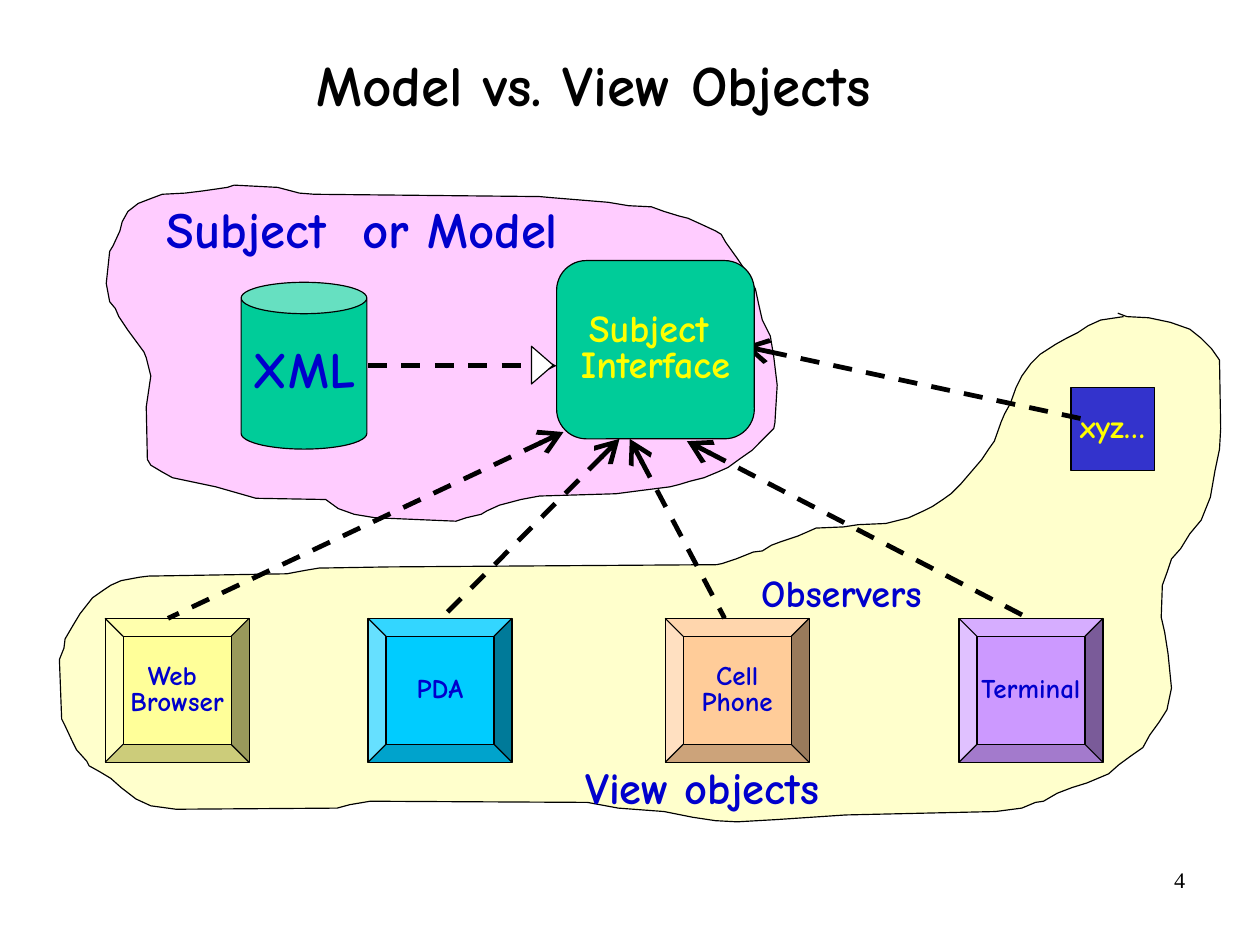
import pptx
import pptx.util
import pptx.dml.color
import pptx.enum.dml
import pptx.enum.shapes
import pptx.enum.text
import pptx.oxml.ns
from lxml import etree

Inches = pptx.util.Inches
RGB = pptx.dml.color.RGBColor
SHAPE = pptx.enum.shapes.MSO_SHAPE
ALIGN = pptx.enum.text.PP_ALIGN
ANCHOR = pptx.enum.text.MSO_ANCHOR
qn = pptx.oxml.ns.qn

BLACK = RGB(0, 0, 0)
WHITE = RGB(0xFF, 0xFF, 0xFF)
NAVY = RGB(0, 0, 0xCC)
BLUE = RGB(0x33, 0x33, 0xCC)
YELLOW = RGB(0xFF, 0xFF, 0)
GREEN = RGB(0, 0xCC, 0x99)
PINK = RGB(0xFF, 0xCC, 0xFF)
CREAM = RGB(0xFF, 0xFF, 0xCC)
LEMON = RGB(0xFF, 0xFF, 0x99)
CYAN = RGB(0, 0xCC, 0xFF)
PEACH = RGB(0xFF, 0xCC, 0x99)
VIOLET = RGB(0xCC, 0x99, 0xFF)
FONT = "Comic Neue"

# Hand-drawn outlines; only the relative positions of the points matter
VIEW_OUTLINE = [
    (9.83, 2.77), (9.63, 2.8), (9.52, 2.85), (9.43, 2.91), (9.33, 2.96), (9.24, 3.01),
    (9.1, 3.1), (9.02, 3.18), (8.94, 3.29), (8.89, 3.39), (8.84, 3.53), (8.79, 3.62),
    (8.76, 3.69), (8.7, 3.86), (8.65, 3.93), (8.59, 4.02), (8.41, 4.23), (8.32, 4.32),
    (8.25, 4.37), (8.16, 4.43), (8.08, 4.47), (7.95, 4.53), (7.75, 4.58), (7.51, 4.59),
    (7.38, 4.61), (7.14, 4.62), (7.05, 4.66), (6.98, 4.69), (6.83, 4.74), (6.75, 4.77),
    (6.67, 4.82), (6.59, 4.83), (6.44, 4.89), (6.32, 4.93), (6.27, 4.94), (3.4, 4.96),
    (2.79, 4.97), (2.67, 4.99), (2.51, 5.02), (1.3, 5.04), (1.22, 5.05), (1.06, 5.08),
    (0.97, 5.12), (0.91, 5.16), (0.81, 5.23), (0.7, 5.37), (0.64, 5.47), (0.57, 5.59),
    (0.56, 5.67), (0.52, 5.77), (0.54, 6.29), (0.57, 6.35), (0.64, 6.5), (0.67, 6.56),
    (0.76, 6.66), (0.78, 6.7), (0.87, 6.75), (0.97, 6.81), (1.06, 6.89), (1.19, 6.99),
    (1.32, 7.05), (1.54, 7.08), (2.95, 7.07), (3.06, 7.04), (3.24, 7.01), (5.14, 7.02),
    (5.41, 7.07), (5.81, 7.1), (6.06, 7.15), (6.26, 7.18), (6.45, 7.19), (6.8, 7.17),
    (7.4, 7.13), (8.71, 7.1), (8.94, 7.07), (9.06, 7.02), (9.13, 7.01), (9.25, 6.94),
    (9.38, 6.89), (9.51, 6.85), (9.7, 6.77), (9.79, 6.69), (9.9, 6.61), (10, 6.54),
    (10.06, 6.43), (10.14, 6.32), (10.21, 6.21), (10.25, 6.02), (10.22, 5.72),
    (10.19, 5.53), (10.16, 5.4), (10.17, 5.12), (10.21, 5.01), (10.25, 4.89),
    (10.33, 4.8), (10.41, 4.67), (10.51, 4.55), (10.59, 4.35), (10.63, 4.12),
    (10.67, 3.93), (10.68, 3.75), (10.67, 3.15), (10.6, 3.05), (10.51, 2.96),
    (10.41, 2.88), (10.24, 2.82), (10.05, 2.78), (9.86, 2.77), (9.78, 2.74)]
MODEL_OUTLINE = [
    (2.83, 4.37), (2.25, 4.36), (1.9, 4.26), (1.52, 4.18), (1.43, 4.13), (1.33, 4.07),
    (1.3, 4.02), (1.29, 3.56), (1.33, 3.29), (1.29, 3.13), (1.27, 3.08), (1.13, 2.89),
    (1.05, 2.77), (1.02, 2.7), (0.97, 2.64), (0.94, 2.48), (0.97, 2.2), (1, 2.15),
    (1.06, 2.02), (1.08, 1.94), (1.13, 1.85), (1.22, 1.78), (1.35, 1.73), (1.43, 1.7),
    (1.63, 1.69), (1.79, 1.67), (2, 1.64), (2.06, 1.62), (2.44, 1.64), (2.63, 1.69),
    (2.76, 1.7), (4.73, 1.72), (4.84, 1.73), (5.33, 1.77), (5.51, 1.8), (5.71, 1.81),
    (5.82, 1.85), (5.95, 1.89), (6.03, 1.91), (6.14, 1.96), (6.27, 2.02), (6.32, 2.05),
    (6.36, 2.12), (6.46, 2.26), (6.52, 2.35), (6.62, 2.53), (6.65, 2.67), (6.68, 2.8),
    (6.75, 2.94), (6.78, 3.12), (6.81, 3.37), (6.79, 3.7), (6.78, 3.75), (6.68, 3.85),
    (6.59, 3.94), (6.49, 4.01), (6.38, 4.09), (6.29, 4.13), (6.17, 4.18), (6.05, 4.21),
    (5.95, 4.24), (5.87, 4.26), (5.63, 4.29), (5.4, 4.32), (4.73, 4.34), (4.57, 4.37),
    (4.38, 4.42), (4.27, 4.47), (4.22, 4.5), (4.09, 4.53), (4, 4.56), (3.29, 4.53),
    (3.11, 4.5), (2.97, 4.45), (2.86, 4.37)]


def set_text(s, text, size, color, align=ALIGN.CENTER, anchor=ANCHOR.MIDDLE,
             wrap=False, spacing=0.8, font=FONT, bold=True):
    tf = s.text_frame
    tf.text = text
    tf.word_wrap = wrap
    tf.vertical_anchor = anchor
    tf.margin_left = tf.margin_right = Inches(0.11)
    tf.margin_top = tf.margin_bottom = Inches(0.05)
    for p in tf.paragraphs:
        p.alignment = align
        p.line_spacing = spacing
        for r in p.runs:
            r.font.name = font
            r.font.size = pptx.util.Pt(size)
            r.font.bold = bold
            r.font.color.rgb = color


def paint(s, fill):
    s.shadow.inherit = False
    s.fill.solid()
    s.fill.fore_color.rgb = fill
    s.line.color.rgb = BLACK
    s.line.width = pptx.util.Pt(0.75)


def add_box(slide, kind, x, y, w, h, fill, text="", size=17, color=NAVY):
    s = slide.shapes.add_shape(kind, Inches(x), Inches(y), Inches(w), Inches(h))
    paint(s, fill)
    if text:
        set_text(s, text, size, color)
    return s


def add_label(slide, x, y, w, h, text, size, color=NAVY, align=ALIGN.LEFT,
              anchor=ANCHOR.TOP, **style):
    s = slide.shapes.add_textbox(Inches(x), Inches(y), Inches(w), Inches(h))
    set_text(s, text, size, color, align, anchor, wrap=True, **style)


def add_cloud(slide, x, y, outline, fill, close):
    dx = x - min(px for px, _ in outline)
    dy = y - min(py for _, py in outline)
    points = [(Inches(px + dx), Inches(py + dy)) for px, py in outline]
    builder = slide.shapes.build_freeform(*points[0], scale=1.0)
    builder.add_line_segments(points[1:], close=close)
    paint(builder.convert_to_shape(), fill)


def add_dashed_arrow(slide, x1, y1, x2, y2, end="headEnd", tip="arrow", size="lg"):
    s = slide.shapes.add_connector(pptx.enum.shapes.MSO_CONNECTOR.STRAIGHT,
                                   Inches(x1), Inches(y1), Inches(x2), Inches(y2))
    s.line.color.rgb = BLACK
    s.line.width = pptx.util.Pt(3)
    s.line.dash_style = pptx.enum.dml.MSO_LINE.DASH
    ln = s._element.spPr.find(qn("a:ln"))
    etree.SubElement(ln, qn("a:" + end), type=tip, w=size, len=size)
    etree.SubElement(s._element.spPr, qn("a:effectLst"))


def add_views(slide, x, y):
    """Observer buttons, their arrows and captions, from the top left of the view cloud."""
    top, side = y + 2.67, 1.26
    buttons = [(0.4, "Web \nBrowser", LEMON), (2.7, "PDA", CYAN),
               (5.3, "Cell\nPhone", PEACH), (7.87, "Terminal", VIOLET)]
    for left, text, fill in buttons:
        add_box(slide, SHAPE.BEVEL, x + left, top, side, side, fill, text)
    arrows = [(4.41, 1.04, 0.95), (4.9, 1.1, 3.34), (4.99, 1.1, 5.82), (5.49, 1.12, 8.48)]
    for tip_x, tip_y, tail_x in arrows:
        add_dashed_arrow(slide, x + tip_x, y + tip_y, x + tail_x, top)
    add_label(slide, x + 6.03, y + 2.27, 1.75, 0.43, "Observers", 24)
    add_label(slide, x + 4.49, y + 3.95, 3.75, 0.48, "View objects", 28)
    add_box(slide, SHAPE.RECTANGLE, x + 8.85, y + 0.65, 0.73, 0.73, BLUE, "xyz…", 20, YELLOW)
    add_dashed_arrow(slide, x + 5.99, y + 0.29, x + 9.02, y + 0.94)


def add_model(slide, x, y):
    """XML store and subject interface, from the top left of the model cloud."""
    add_label(slide, x + 0.42, y + 0.16, 4.5, 0.54, "Subject  or Model", 32)
    can = add_box(slide, SHAPE.CAN, x + 1.18, y + 0.85, 1.1, 1.46, GREEN, "XML", 32)
    can.adjustments[0] = 0.25
    add_box(slide, SHAPE.ROUNDED_RECTANGLE, x + 3.94, y + 0.66, 1.73, 1.56,
            GREEN, "Subject \nInterface", 24, YELLOW)
    add_dashed_arrow(slide, x + 2.29, y + 1.58, x + 3.94, y + 1.58,
                     "tailEnd", "triangle", "med")
    tip = add_box(slide, SHAPE.ISOSCELES_TRIANGLE, x + 3.65, y + 1.48, 0.33, 0.19, WHITE)
    tip.rotation = 90


def main():
    prs = pptx.Presentation()
    prs.slide_width, prs.slide_height = pptx.util.Cm(28), pptx.util.Cm(21)
    slide = prs.slides.add_slide(prs.slide_layouts[6])
    # Clouds behind everything
    add_cloud(slide, 0.52, 2.74, VIEW_OUTLINE, CREAM, close=False)
    add_cloud(slide, 0.93, 1.62, MODEL_OUTLINE, PINK, close=True)
    # Title and page number
    add_label(slide, 0.23, 0.09, 9.92, 1.37, "Model vs. View Objects", 36, BLACK,
              ALIGN.CENTER, ANCHOR.MIDDLE, spacing=0.88)
    add_label(slide, 7.91, 7.53, 2.57, 0.57, "4", 14, BLACK, ALIGN.RIGHT,
              spacing=1.0, font="Times New Roman", bold=False)
    # The interface box covers the arrow tip from xyz…
    add_views(slide, 0.52, 2.74)
    add_model(slide, 0.93, 1.62)
    prs.save("out.pptx")


if __name__ == "__main__":
    main()
